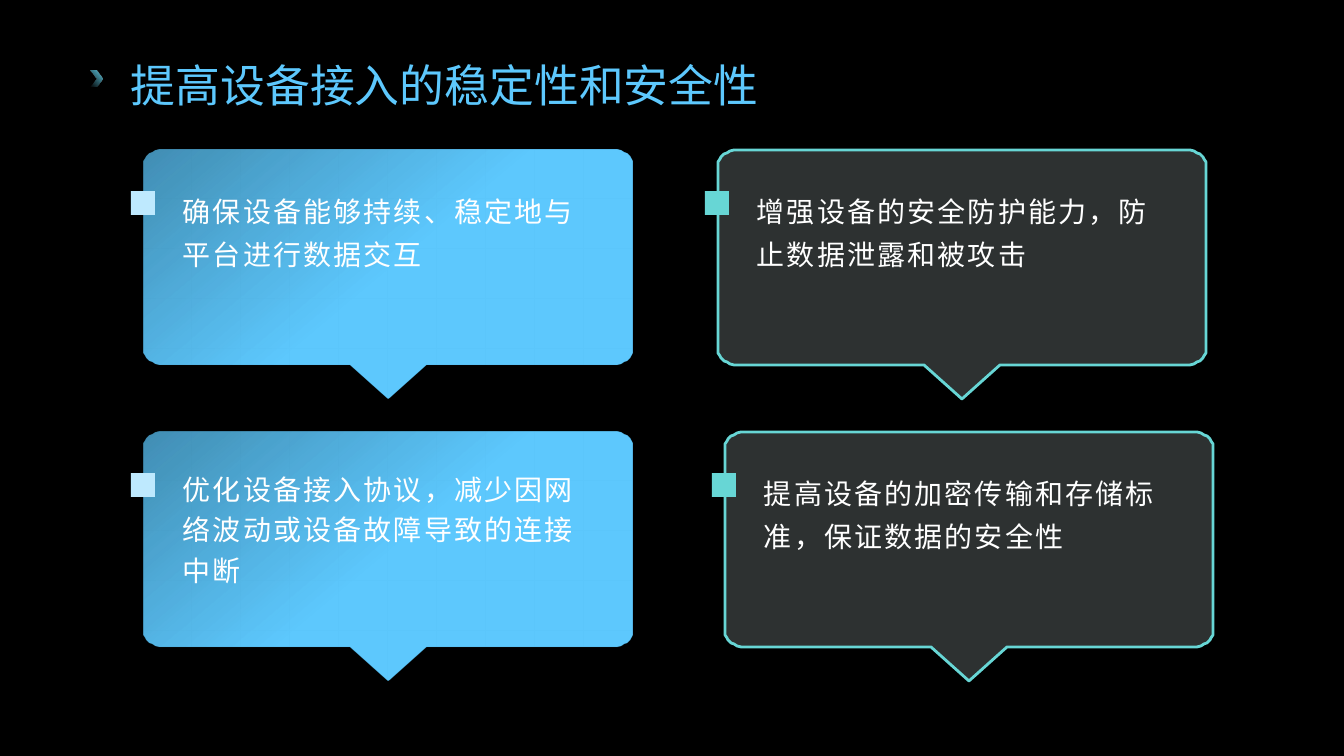
from math import cos, pi, sin

from lxml.etree import SubElement
from pptx import Presentation
from pptx.dml.color import RGBColor
from pptx.enum.shapes import MSO_SHAPE
from pptx.enum.text import MSO_ANCHOR
from pptx.oxml.ns import qn
from pptx.util import Pt

SKY = RGBColor(0x5D, 0xC8, 0xFD)
PALE_SKY = RGBColor(0xBE, 0xE9, 0xFE)
CYAN = RGBColor(0x62, 0xCF, 0xE9)
TEAL = RGBColor(0x67, 0xD6, 0xD5)
PALE_TEAL = RGBColor(0xE1, 0xF7, 0xF7)
WHITE = RGBColor(0xFF, 0xFF, 0xFF)
BLACK = RGBColor(0, 0, 0)

# Content: text, left and top in px, line spacing, outlined style
TITLE = "提高设备接入的稳定性和安全性"
CARDS = [
    ("确保设备能够持续、稳定地与平台进行数据交互", 144, 150, 1.3, False),
    ("增强设备的安全防护能力，防止数据泄露和被攻击", 718, 150, 1.3, True),
    ("优化设备接入协议，减少因网络波动或设备故障导致的连接中断", 144, 432, 1.2, False),
    ("提高设备的加密传输和存储标准，保证数据的安全性", 725, 432, 1.3, True),
]

# Sizes in px
SLIDE_WIDTH, SLIDE_HEIGHT = 1344, 756
EMU_PER_PX = 12192000 / SLIDE_WIDTH
CARD_WIDTH, CARD_HEIGHT = 488, 215
RADIUS_X, RADIUS_Y = 20, 15
TIP_HALF_WIDTH, TIP_HEIGHT = 38, 34
MARKER = 24
ARC_STEPS = 8


def px(value):
    return round(value * EMU_PER_PX)


def box(*lengths):
    return [px(length) for length in lengths]


def set_opacity(shape, percent):
    """Make the first fill colour of the shape partly transparent."""
    color = shape._element.spPr.find(".//" + qn("a:srgbClr"))
    SubElement(color, qn("a:alpha")).set("val", str(percent * 1000))


def fill_gradient(shape, color, opacity, end, angle):
    shape.fill.gradient()
    shape.fill.gradient_angle = angle
    for stop, position in zip(shape.fill.gradient_stops, (0, end)):
        stop.color.rgb = color
        stop.position = position
    set_opacity(shape, opacity)


def add_text(text, bounds, size, font_name, color, spacing):
    frame = slide.shapes.add_textbox(*box(*bounds)).text_frame
    frame.word_wrap = True
    paragraph = frame.paragraphs[0]
    paragraph.text = text
    paragraph.line_spacing = spacing
    paragraph.font.size = Pt(size)
    paragraph.font.name = font_name
    paragraph.font.color.rgb = color
    return frame


def callout_points(left, top):
    """Rounded box, clockwise from the top left, with a tip below."""
    right, bottom = left + CARD_WIDTH, top + CARD_HEIGHT
    middle = left + CARD_WIDTH / 2
    corners = [
        (left + RADIUS_X, top + RADIUS_Y),
        (right - RADIUS_X, top + RADIUS_Y),
        (right - RADIUS_X, bottom - RADIUS_Y),
        (left + RADIUS_X, bottom - RADIUS_Y),
    ]
    points = []
    for index, (center_x, center_y) in enumerate(corners):
        if index == 3:
            points += [(middle + TIP_HALF_WIDTH, bottom),
                       (middle, bottom + TIP_HEIGHT),
                       (middle - TIP_HALF_WIDTH, bottom)]
        for step in range(ARC_STEPS + 1):
            angle = pi + (index + step / ARC_STEPS) * pi / 2
            points.append((center_x + RADIUS_X * cos(angle),
                           center_y + RADIUS_Y * sin(angle)))
    return points


def add_card(text, left, top, spacing, outlined):
    points = callout_points(left, top)
    builder = slide.shapes.build_freeform(*points[0], scale=EMU_PER_PX)
    builder.add_line_segments(points[1:], close=True)
    callout = builder.convert_to_shape()
    callout.shadow.inherit = False
    if outlined:
        callout.fill.solid()
        callout.fill.fore_color.rgb = PALE_TEAL
        set_opacity(callout, 20)
        callout.line.color.rgb = TEAL
        callout.line.width = Pt(2)
    else:
        fill_gradient(callout, SKY, 70, 0.5, 310)
        callout.line.fill.background()

    marker = slide.shapes.add_shape(
        MSO_SHAPE.RECTANGLE, *box(left - 13, top + 41, MARKER, MARKER))
    marker.shadow.inherit = False
    marker.fill.solid()
    marker.fill.fore_color.rgb = TEAL if outlined else PALE_SKY
    marker.line.fill.background()

    frame = add_text(text, (left + 29, top + 29, 429, 141), 20, "Arial", WHITE, spacing)
    run = frame.paragraphs[0].runs[0]
    run.font._element.set("spc", "150")  # letter spacing of 1.5 pt


presentation = Presentation()
presentation.slide_width = px(SLIDE_WIDTH)
presentation.slide_height = px(SLIDE_HEIGHT)
slide = presentation.slides.add_slide(presentation.slide_layouts[6])
slide.background.fill.solid()
slide.background.fill.fore_color.rgb = BLACK

# Title with its chevron
chevron = slide.shapes.add_shape(MSO_SHAPE.CHEVRON, *box(91, 71, 11, 16))
chevron.shadow.inherit = False
fill_gradient(chevron, CYAN, 0, 1, 45)
chevron.line.fill.background()
title_frame = add_text(TITLE, (121, 45, 1155, 68), 32, "Lato", SKY, 1.2)
title_frame.vertical_anchor = MSO_ANCHOR.MIDDLE
title_frame.margin_top = title_frame.margin_bottom = 0

# Callout cards
for card in CARDS:
    add_card(*card)

presentation.save("out.pptx")
